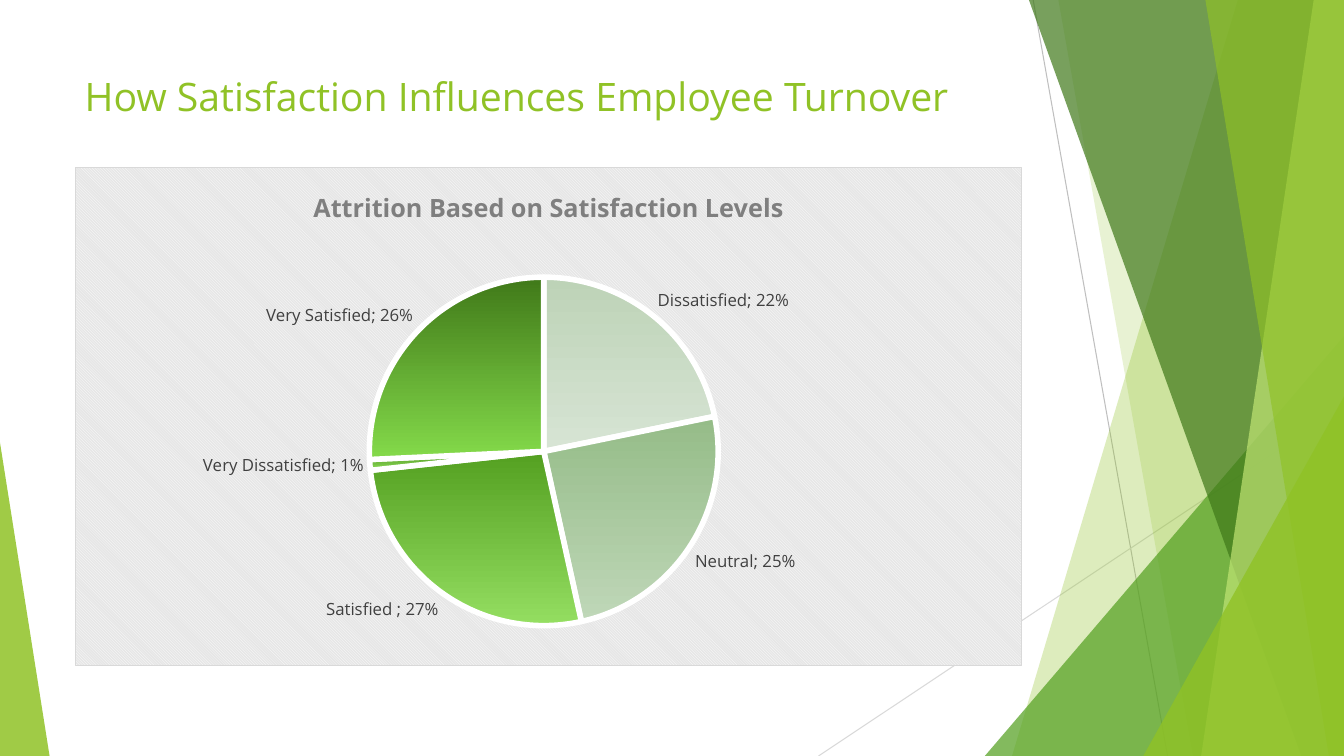
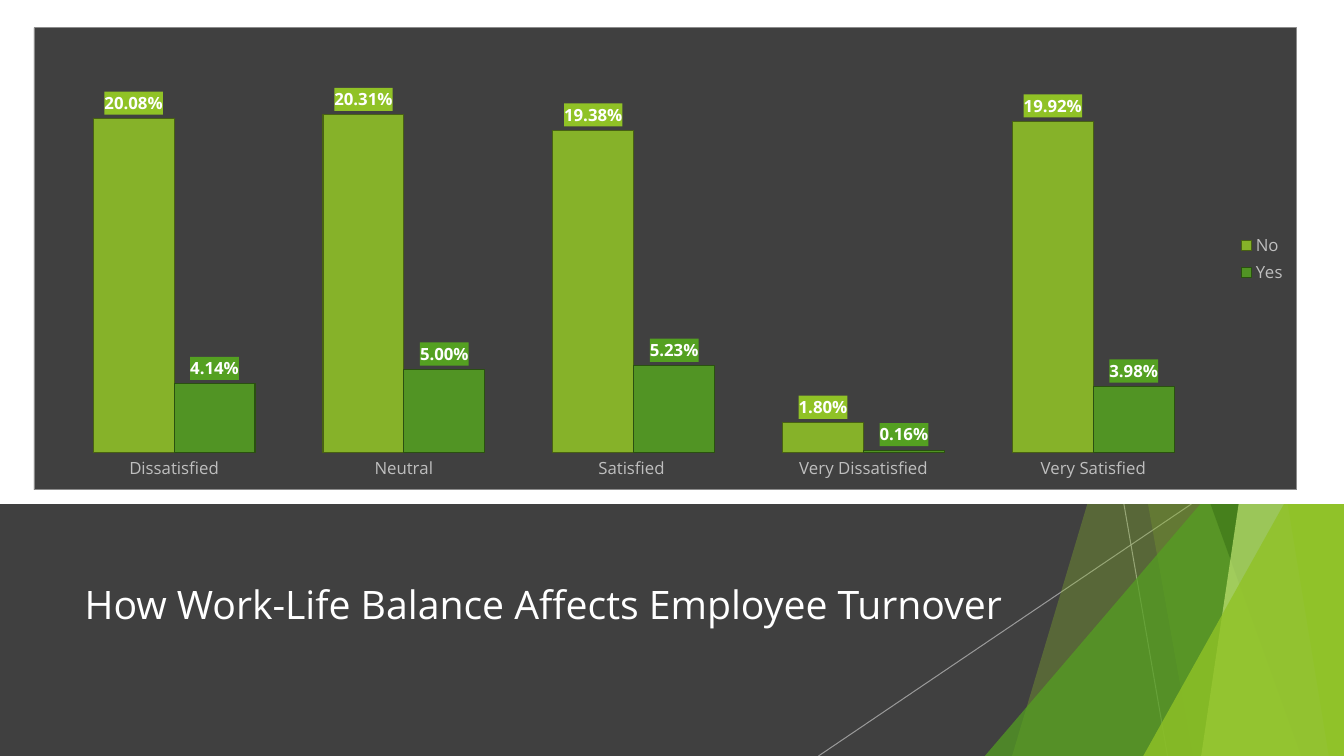
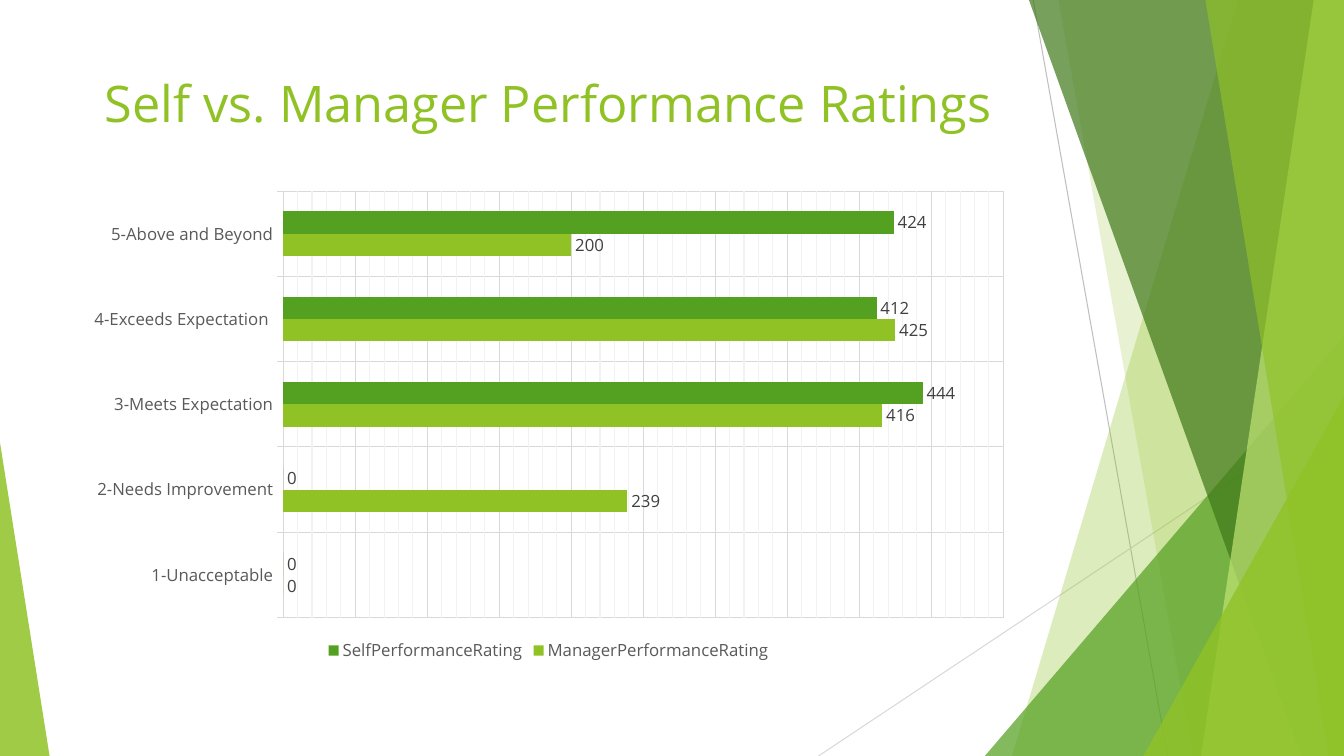
from dataclasses import dataclass
from typing import Optional

from pptx import Presentation
from pptx.chart.data import CategoryChartData
from pptx.dml.color import RGBColor as RGB
from pptx.enum.chart import XL_CHART_TYPE as CT
from pptx.enum.chart import XL_LABEL_POSITION as LP
from pptx.enum.chart import XL_LEGEND_POSITION as LEG
from pptx.enum.chart import XL_TICK_MARK as TM
from pptx.enum.shapes import MSO_CONNECTOR, MSO_SHAPE
from pptx.enum.text import MSO_ANCHOR as ANCHOR
from pptx.enum.text import PP_ALIGN as ALIGN
from pptx.oxml import parse_xml
from pptx.oxml.ns import nsdecls, qn
from pptx.util import Emu, Inches, Pt

COLS, ROWS = 160, 90
CELL = Inches(7.5) / ROWS
FONT = "Open Sans"

WHITE = RGB(0xFF, 0xFF, 0xFF)
LIME = RGB(0x90, 0xC2, 0x26)
PALE_LIME = RGB(0xC0, 0xE4, 0x74)
GREEN = RGB(0x54, 0xA0, 0x21)
DARK_GREEN = RGB(0x3F, 0x78, 0x19)
LIME_EDGE = RGB(0x48, 0x61, 0x13)
GREEN_EDGE = RGB(0x2A, 0x50, 0x10)
CHARCOAL = RGB(0x40, 0x40, 0x40)
SLATE = RGB(0x59, 0x59, 0x59)
GRAY = RGB(0x7F, 0x7F, 0x7F)
FRAME_GRAY = RGB(0x8C, 0x8C, 0x8C)
SILVER = RGB(0xBF, 0xBF, 0xBF)
RULE = RGB(0xD9, 0xD9, 0xD9)
HATCH = RGB(0xE6, 0xE6, 0xE6)
FAINT = RGB(0xF2, 0xF2, 0xF2)


@dataclass(frozen=True)
class Box:
    col: float
    row: float
    cols: float
    rows: float


@dataclass(frozen=True)
class Ray:
    start: tuple[float, float]
    end: tuple[float, float]
    color: RGB
    alpha: int = 100


@dataclass(frozen=True)
class Blade:
    top: float
    base: float
    color: RGB
    alpha: int


@dataclass(frozen=True)
class Wedge:
    box: Box
    peak: float
    color: RGB
    alpha: int


@dataclass(frozen=True)
class Bars:
    name: str
    values: tuple[float, ...]
    color: RGB
    alpha: int = 100
    edge: Optional[RGB] = None
    label_fill: Optional[RGB] = None


@dataclass(frozen=True)
class Slice:
    name: str
    value: float
    top: str
    bottom: str


RAYS = (Ray((123, 0), (139, 90), SILVER), Ray((160, 48.36), (97.44, 90), RULE))
BAND_RAYS = (Ray((133.8, 60), (139, 90), SILVER, 70),
             Ray((141.84, 60), (97.44, 90), SILVER, 70))
FACETS = (
    Blade(147.36, 120.48, LIME, 30),
    Blade(126, 142, LIME, 20),
    Wedge(Box(117.24, 40, 42.76, 50), 1, GREEN, 72),
    Blade(122.5, 154.92, DARK_GREEN, 70),
    Blade(156.4, 143, PALE_LIME, 70),
    Blade(143.5, 158.2, LIME, 65),
    Wedge(Box(136.1, 47.2, 23.9, 42.8), 1, LIME, 80),
)
LEFT_WEDGE = Wedge(Box(0, 52.7, 5.9, 37.3), 0, LIME, 85)
LEVELS = ("Dissatisfied", "Neutral", "Satisfied ", "Very Dissatisfied", "Very Satisfied")
RATINGS = ("1-Unacceptable", "2-Needs Improvement", "3-Meets Expectation",
           "4-Exceeds Expectation ", "5-Above and Beyond")
SLICES = (
    Slice(LEVELS[0], 0.22, "BDD3B7", "D7E4D4"),
    Slice(LEVELS[1], 0.25, "95BC88", "BFD7B8"),
    Slice(LEVELS[2], 0.27, "54A021", "94DE61"),
    Slice(LEVELS[3], 0.01, "4B8E1D", "8CDC57"),
    Slice(LEVELS[4], 0.26, "407919", "84DA4A"),
)


def g(cells: float) -> Emu:
    return Emu(round(cells * CELL))


def place(box: Box) -> tuple[Emu, ...]:
    return g(box.col), g(box.row), g(box.cols), g(box.rows)


def fade(el, alpha: int) -> None:
    if alpha < 100:
        clr = el.find(".//" + qn("a:srgbClr"))
        clr.append(parse_xml(f'<a:alpha {nsdecls("a")} val="{alpha * 1000}"/>'))


def paint(sp, color: RGB, alpha: int = 100) -> None:
    sp.shadow.inherit = False
    sp.line.fill.background()
    sp.fill.solid()
    sp.fill.fore_color.rgb = color
    fade(sp._element.spPr, alpha)


def add_rect(slide, box: Box, color: RGB) -> None:
    paint(slide.shapes.add_shape(MSO_SHAPE.RECTANGLE, *place(box)), color)


def add_ray(slide, ray: Ray) -> None:
    ln = slide.shapes.add_connector(MSO_CONNECTOR.STRAIGHT, *map(g, ray.start + ray.end))
    ln.line.color.rgb = ray.color
    ln.line.width = Pt(0.75)
    spPr = ln._element.spPr
    fade(spPr, ray.alpha)
    spPr.append(parse_xml(f'<a:effectLst {nsdecls("a")}/>'))


def add_facet(slide, facet: Blade | Wedge) -> None:
    if isinstance(facet, Blade):
        fb = slide.shapes.build_freeform(g(facet.top), 0)
        corners = ((COLS, 0), (COLS, ROWS), (facet.base, ROWS))
        fb.add_line_segments([(g(x), g(y)) for x, y in corners], close=True)
        sp = fb.convert_to_shape()
    else:
        sp = slide.shapes.add_shape(MSO_SHAPE.ISOSCELES_TRIANGLE, *place(facet.box))
        sp.adjustments[0] = facet.peak
    paint(sp, facet.color, facet.alpha)


def add_backdrop(slide, rays: tuple[Ray, ...], facets: tuple) -> None:
    for ray in rays:
        add_ray(slide, ray)
    for facet in facets:
        add_facet(slide, facet)


def style(font, size: float, color: RGB, bold: bool = False) -> None:
    font.name, font.size, font.bold = FONT, Pt(size), bold
    font.color.rgb = color


def add_title(slide, text: str, box: Box, size: int = 28, color: RGB = LIME,
              align=ALIGN.LEFT, anchor=ANCHOR.TOP) -> None:
    tf = slide.shapes.add_textbox(*place(box)).text_frame
    tf.word_wrap = True
    tf.vertical_anchor = anchor
    tf.text = text
    p = tf.paragraphs[0]
    p.alignment = align
    style(p.runs[0].font, size, color)


def solid(color: RGB) -> str:
    return f'<a:solidFill><a:srgbClr val="{color}"/></a:solidFill>'


def hatch(fore: RGB, back: RGB) -> str:
    return (f'<a:pattFill prst="dkDnDiag"><a:fgClr><a:srgbClr val="{fore}"/></a:fgClr>'
            f'<a:bgClr><a:srgbClr val="{back}"/></a:bgClr></a:pattFill>')


def outline(color: RGB, width: float) -> str:
    return f'<a:ln w="{Pt(width)}">{solid(color)}</a:ln>'


def sp_pr(inner: str):
    return parse_xml(f'<c:spPr {nsdecls("c", "a")}>{inner}</c:spPr>')


def add_chart(slide, kind, box: Box, data: CategoryChartData, frame: str,
              layout: tuple[float, float, float, float]):
    chart = slide.shapes.add_chart(kind, *place(box), data).chart
    style(chart.font, 10, RGB(0, 0, 0))
    chart.has_title = False
    space = chart._chartSpace
    if space.find(qn("c:roundedCorners")) is None:
        square = parse_xml(f'<c:roundedCorners {nsdecls("c")} val="0"/>')
        date = space.find(qn("c:date1904"))
        space.insert(0 if date is None else 1, square)
    body = space.find(qn("c:chart"))
    body.addnext(sp_pr(frame))
    area = body.find(qn("c:plotArea"))
    for old in area.findall(qn("c:layout")):
        area.remove(old)
    sides = "".join(f'<c:{k} val="{v}"/>' for k, v in zip("xywh", layout))
    area.insert(0, parse_xml(
        f'<c:layout {nsdecls("c")}><c:manualLayout><c:layoutTarget val="inner"/>'
        f'<c:xMode val="edge"/><c:yMode val="edge"/>{sides}</c:manualLayout></c:layout>'))
    return chart


def add_labels(owner, fmt: str, color: RGB, bold: bool = False):
    labels = owner.data_labels
    labels.show_value = True
    labels.number_format = fmt
    labels.number_format_is_linked = False
    labels.position = LP.OUTSIDE_END
    style(labels.font, 12, color, bold)
    return labels


def add_pie(slide, box: Box) -> None:
    data = CategoryChartData(number_format="0%")
    data.categories = [s.name for s in SLICES]
    data.add_series("Series 1", [s.value for s in SLICES])
    chart = add_chart(slide, CT.PIE, box, data, hatch(WHITE, HATCH) + outline(RULE, 0.75),
                      (0.24, 0.22, 0.51, 0.7))
    chart.has_legend = False
    chart.has_title = True
    tf = chart.chart_title.text_frame
    tf.text = "Attrition Based on Satisfaction Levels"
    style(tf.paragraphs[0].runs[0].font, 18, GRAY, True)
    plot = chart.plots[0]
    plot.vary_by_categories = True
    for i, s in enumerate(SLICES):
        fmt = plot.series[0].points[i].format
        fmt.fill.gradient()
        fmt.fill.gradient_angle = 270
        for stop, color in zip(fmt.fill.gradient_stops, (s.top, s.bottom)):
            stop.color.rgb = RGB.from_string(color)
        fmt.line.color.rgb = WHITE
        fmt.line.width = Pt(4)
    plot.has_data_labels = True
    labels = add_labels(plot, "0%", CHARCOAL)
    labels.show_category_name = True
    labels.show_percentage = False
    el = labels._element
    last = el.find(qn("c:showBubbleSize"))
    if last is None:
        last = el.find(qn("c:showPercent"))
    last.addnext(parse_xml(f'<c:separator {nsdecls("c")}>; </c:separator>'))


def add_bars(slide, kind, box: Box, cats: tuple[str, ...], bars: tuple[Bars, ...], fmt: str,
             frame: str, layout: tuple[float, float, float, float], gap: int, top: float,
             text_color: RGB, label_color: RGB, legend, bold: bool = False):
    data = CategoryChartData(number_format=fmt)
    data.categories = cats
    for b in bars:
        data.add_series(b.name, b.values)
    chart = add_chart(slide, kind, box, data, frame, layout)
    chart.has_legend = True
    chart.legend.position = legend
    chart.legend.include_in_layout = False
    style(chart.legend.font, 12, text_color)
    plot = chart.plots[0]
    plot.vary_by_categories = False
    plot.gap_width, plot.overlap = gap, 0
    for b, ser in zip(bars, plot.series):
        ser.format.fill.solid()
        ser.format.fill.fore_color.rgb = b.color
        if b.edge is not None:
            ser.format.line.color.rgb = b.edge
            ser.format.line.width = Pt(0.75)
        fade(ser._element.find(qn("c:spPr")), b.alpha)
        labels = add_labels(ser, fmt, label_color, bold)
        if b.label_fill is not None:
            labels._element.find(qn("c:txPr")).addprevious(sp_pr(solid(b.label_fill)))
    val = chart.value_axis
    val.visible = False
    val.has_major_gridlines = False
    val.minimum_scale, val.maximum_scale = 0, top
    cat = chart.category_axis
    cat.major_tick_mark = TM.NONE
    cat.format.line.fill.background()
    style(cat.tick_labels.font, 12, text_color)
    return chart


def rule_lines(lines) -> None:
    lines.format.line.color.rgb = RULE
    lines.format.line.width = Pt(0.75)


def satisfaction_slide(slide) -> None:
    add_backdrop(slide, RAYS, FACETS + (LEFT_WEDGE,))
    add_title(slide, "How Satisfaction Influences Employee Turnover", Box(8.9, 8, 112.8, 9.5))
    add_pie(slide, Box(8.9, 19.9, 112.8, 59.4))


def balance_slide(slide) -> None:
    add_rect(slide, Box(0, 60, COLS, 30), CHARCOAL)
    add_backdrop(slide, BAND_RAYS, FACETS)
    add_title(slide, "How Work-Life Balance Affects Employee Turnover",
              Box(8.9, 63.84, 112.8, 16), color=WHITE, anchor=ANCHOR.MIDDLE)
    add_rect(slide, Box(0, 0, COLS, 60), WHITE)
    bars = (
        Bars("No", (0.2008, 0.2031, 0.1938, 0.018, 0.1992), LIME, 88, LIME_EDGE, LIME),
        Bars("Yes", (0.0414, 0.05, 0.0523, 0.0016, 0.0398), GREEN, 88, GREEN_EDGE, GREEN),
    )
    add_bars(slide, CT.COLUMN_CLUSTERED, Box(4, 3.25, 150.4, 55.1), LEVELS, bars, "0.00%",
             solid(CHARCOAL) + outline(FRAME_GRAY, 0.5), (0.02, 0.02, 0.91, 0.9),
             84, 0.25, SILVER, WHITE, LEG.RIGHT, True)


def ratings_slide(slide) -> None:
    add_backdrop(slide, RAYS, FACETS + (LEFT_WEDGE,))
    add_title(slide, "Self vs. Manager Performance Ratings", Box(8.9, 8, 112.8, 10.4),
              36, align=ALIGN.CENTER)
    bars = (
        Bars("ManagerPerformanceRating", (0, 239, 416, 425, 200), LIME),
        Bars("SelfPerformanceRating", (0, 0, 444, 412, 424), GREEN),
    )
    chart = add_bars(slide, CT.BAR_CLUSTERED, Box(8.9, 21.6, 112.8, 57.7), RATINGS, bars,
                     "General", "<a:noFill/><a:ln><a:noFill/></a:ln>",
                     (0.22, 0.02, 0.76, 0.88), 182, 500, SLATE, CHARCOAL, LEG.BOTTOM)
    val, cat = chart.value_axis, chart.category_axis
    val.major_unit, val.minor_unit = 50, 10
    val.has_minor_gridlines = True
    val._element.find(qn("c:minorGridlines")).append(sp_pr(outline(FAINT, 0.75)))
    for lines in (val.major_gridlines, cat.major_gridlines, cat):
        rule_lines(lines)
    cat.major_tick_mark = TM.OUTSIDE


def main() -> None:
    prs = Presentation()
    prs.slide_width, prs.slide_height = g(COLS), g(ROWS)
    for build in (satisfaction_slide, balance_slide, ratings_slide):
        build(prs.slides.add_slide(prs.slide_layouts[6]))
    prs.save("out.pptx")


if __name__ == "__main__":
    main()
